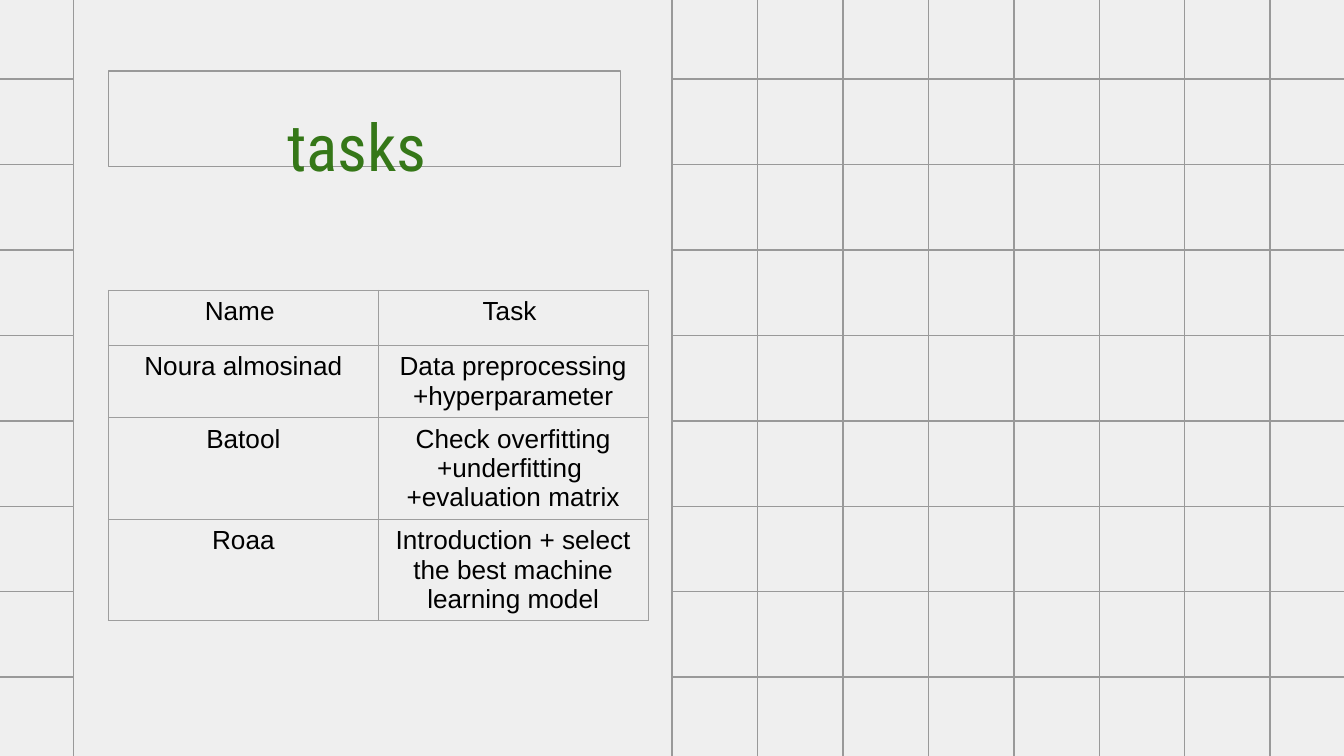
from typing import NamedTuple

from lxml.etree import SubElement
from pptx import Presentation
from pptx.dml.color import RGBColor
from pptx.enum.shapes import MSO_SHAPE
from pptx.enum.text import MSO_ANCHOR, PP_ALIGN
from pptx.oxml.ns import qn
from pptx.util import Cm, Pt

PAPER = "EFEFEF"
GRID_LINE = "999999"
TABLE_LINE = "9E9E9E"
GREEN = "357718"
BLACK = "000000"

SQUARE = Cm(12.92) // 8
GRID_TOP = Cm(-0.12)
GRID_ROWS = 9


class SquareBlock(NamedTuple):
    left: int
    columns: int


class Assignment(NamedTuple):
    name: str
    task: str
    height: int


SQUARE_BLOCKS = [SquareBlock(Cm(12.7), 8), SquareBlock(Cm(-0.22), 1)]

ASSIGNMENTS = [
    Assignment("Name ", "Task ", Cm(1.04)),
    Assignment("Noura almosinad", "Data preprocessing +hyperparameter", Cm(1.36)),
    Assignment("Batool", "Check overfitting +underfitting \n+evaluation matrix", Cm(1.92)),
    Assignment("Roaa", "Introduction + select the best machine learning model", Cm(1.92)),
]


def rgb(value: str) -> RGBColor:
    return RGBColor.from_string(value)


def add_box(s, left: int, top: int, width: int, height: int):
    sp = s.shapes.add_shape(MSO_SHAPE.RECTANGLE, left, top, width, height)
    sp.shadow.inherit = False
    sp.fill.solid()
    sp.fill.fore_color.rgb = rgb(PAPER)
    sp.line.color.rgb = rgb(GRID_LINE)
    sp.line.width = Pt(0.75)
    return sp


def style_text(tf, font: str, size: float, color: str) -> None:
    for p in tf.paragraphs:
        p.alignment = PP_ALIGN.CENTER
        for r in p.runs:
            r.font.name = font
            r.font.size = Pt(size)
            r.font.color.rgb = rgb(color)


def add_squares(s, block: SquareBlock) -> None:
    for column in range(block.columns):
        for row in range(GRID_ROWS):
            add_box(s, block.left + column * SQUARE, GRID_TOP + row * SQUARE, SQUARE, SQUARE)


def add_title(s, text: str) -> None:
    sp = add_box(s, Cm(2.05), Cm(1.34), Cm(9.68), Cm(1.81))
    tf = sp.text_frame
    tf.word_wrap = True
    tf.vertical_anchor = MSO_ANCHOR.TOP
    tf.margin_top, tf.margin_bottom = Cm(0.66), 0
    tf.text = text
    style_text(tf, "Roboto Condensed", 35, GREEN)


def set_borders(cell, color: str) -> None:
    tcPr = cell._tc.get_or_add_tcPr()
    for position, side in enumerate(("a:lnL", "a:lnR", "a:lnT", "a:lnB")):
        ln = SubElement(tcPr, qn(side), w=str(Pt(0.75)))
        fill = SubElement(ln, qn("a:solidFill"))
        SubElement(fill, qn("a:srgbClr"), val=color)
        tcPr.insert(position, ln)


def add_task_table(s, assignments: list[Assignment]) -> None:
    height = sum(a.height for a in assignments)
    table = s.shapes.add_table(
        len(assignments), 2, Cm(2.05), Cm(5.49), Cm(10.2), height
    ).table
    table.first_row = False
    table.horz_banding = False
    for row, assignment in zip(table.rows, assignments):
        row.height = assignment.height
        for cell, text in zip(row.cells, (assignment.name, assignment.task)):
            cell.fill.background()
            set_borders(cell, TABLE_LINE)
            cell.text_frame.text = text
            style_text(cell.text_frame, "Arial", 14, BLACK)


def main() -> None:
    prs = Presentation()
    prs.slide_width, prs.slide_height = Cm(25.4), Cm(14.29)
    s = prs.slides.add_slide(prs.slide_layouts[6])
    s.background.fill.solid()
    s.background.fill.fore_color.rgb = rgb(PAPER)
    for block in SQUARE_BLOCKS:
        add_squares(s, block)
    add_title(s, "tasks ")
    add_task_table(s, ASSIGNMENTS)
    prs.save("out.pptx")


if __name__ == "__main__":
    main()
